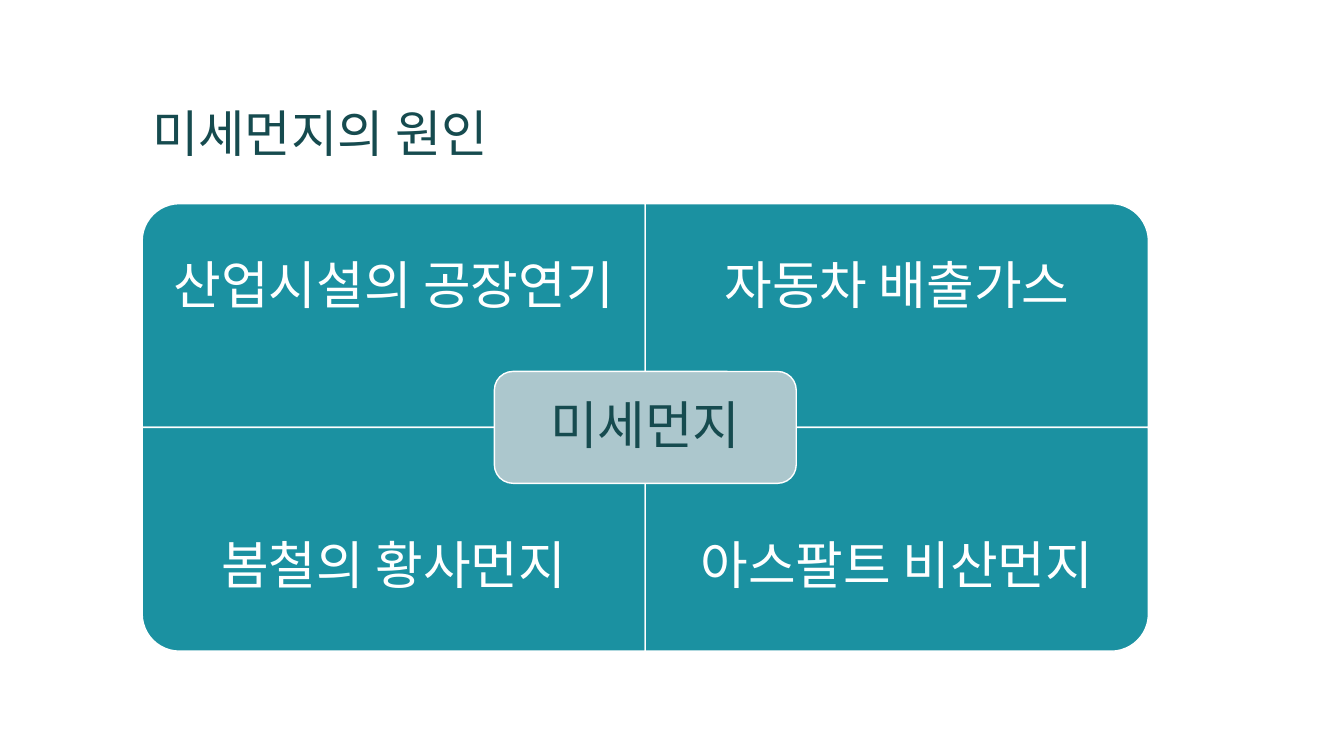
from lxml.etree import SubElement
from pptx import Presentation
from pptx.dml.color import RGBColor
from pptx.enum.shapes import MSO_SHAPE
from pptx.enum.text import MSO_ANCHOR, MSO_AUTO_SIZE, PP_ALIGN
from pptx.oxml.ns import qn
from pptx.util import Pt

PX = 9144  # 100 px to the inch
COLORS = {"ink": "164B4F", "teal": "1B91A1", "mist": "ACC7CD", "white": "FFFFFF"}
KOREAN_FONT = "Noto Sans CJK KR"
# wording and quarter turns of each cell, row by row
CAUSES = [
    [("산업시설의 공장연기", 270), ("자동차 배출가스", 0)],
    [("봄철의 황사먼지", 180), ("아스팔트 비산먼지", 90)],
]


def rgb(name):
    return RGBColor.from_string(COLORS[name])


def px(*lengths):
    return [round(length * PX) for length in lengths]


def write(frame, wording, size, font, color, align, anchor, inset):
    frame.word_wrap = True
    frame.auto_size = MSO_AUTO_SIZE.NONE
    frame.vertical_anchor = anchor
    frame.margin_left = frame.margin_right = inset[0] * PX
    frame.margin_top = frame.margin_bottom = inset[1] * PX
    paragraph = frame.paragraphs[0]
    paragraph.alignment = align
    paragraph.line_spacing = 0.9
    run = paragraph.add_run()
    run.text = wording
    run.font.size = Pt(size)
    run.font.color.rgb = rgb(color)
    run.font.name = font
    SubElement(run._r.get_or_add_rPr(), qn("a:ea")).set("typeface", KOREAN_FONT)


def add_panel(slide, preset, box, fill, turn=0):
    left, top, width, height = box
    if turn in (90, 270):  # a quarter turn swaps the sides about the centre
        left, top = left + (width - height) / 2, top + (height - width) / 2
        width, height = height, width
    panel = slide.shapes.add_shape(preset, *px(left, top, width, height))
    panel.rotation = turn
    panel.shadow.inherit = False
    panel.fill.solid()
    panel.fill.fore_color.rgb = rgb(fill)
    panel.line.color.rgb = rgb("white")
    panel.line.width = Pt(1)


def add_label(slide, box, wording, color, inset):
    label = slide.shapes.add_textbox(*px(*box))
    write(label.text_frame, wording, 37, "Roboto", color,
          PP_ALIGN.CENTER, MSO_ANCHOR.MIDDLE, (inset, inset))


def add_heading(slide, box, wording):
    heading = slide.shapes.title
    heading.left, heading.top, heading.width, heading.height = px(*box)
    write(heading.text_frame, wording, 36, KOREAN_FONT, "ink",
          PP_ALIGN.LEFT, MSO_ANCHOR.BOTTOM, (10, 5))


def add_matrix(slide, box, causes, core):
    left, top, width, height = box
    cell_w, cell_h = width / 2, height / 2
    label_h = cell_h * 3 / 4

    # Four causes, labels pushed to the outer edges
    for row, cells in enumerate(causes):
        for column, (cause, turn) in enumerate(cells):
            x, y = left + column * cell_w, top + row * cell_h
            add_panel(slide, MSO_SHAPE.ROUND_1_RECTANGLE,
                      (x, y, cell_w, cell_h), "teal", turn)
            add_label(slide, (x, y + row * (cell_h - label_h), cell_w, label_h),
                      cause, "white", 29)

    # Core topic over the centre
    core_w, core_h = cell_w * 0.6, cell_h / 2
    core_box = (left + cell_w - core_w / 2, top + cell_h - core_h / 2, core_w, core_h)
    add_panel(slide, MSO_SHAPE.ROUNDED_RECTANGLE, core_box, "mist")
    add_label(slide, core_box, core, "ink", 20)


def main():
    deck = Presentation()
    deck.slide_width, deck.slide_height = px(1333, 750)
    slide = deck.slides.add_slide(deck.slide_layouts[5])
    slide.background.fill.solid()
    slide.background.fill.fore_color.rgb = rgb("white")
    add_heading(slide, (141, 42, 1050, 125), "미세먼지의 원인")
    add_matrix(slide, (141, 202, 998, 444), CAUSES, "미세먼지")
    deck.save("out.pptx")


if __name__ == "__main__":
    main()
